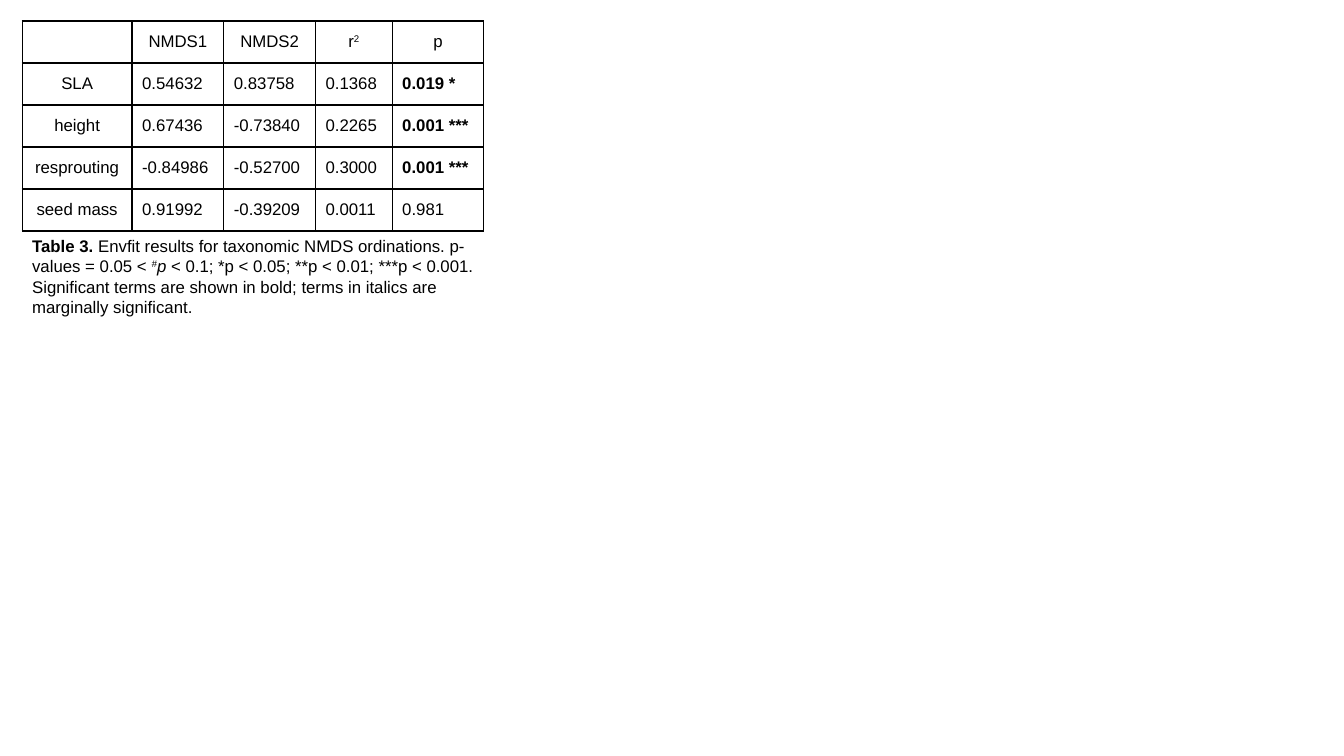
from lxml import etree
from pptx import Presentation
from pptx import util as u
from pptx.dml import color
from pptx.enum import text
from pptx.oxml import ns

COLORS = {"ink": "000000"}
FONT = "Arial"
SLIDE_WIDTH, SLIDE_HEIGHT = u.Inches(13.33), u.Inches(7.5)
COLUMN = SLIDE_WIDTH / 1333
ROW = SLIDE_HEIGHT / 18
LEFT, TOP = 22, 0.5
COLUMN_SPANS = [109, 91, 91, 76, 91]

HEADER = ["", "NMDS1", "NMDS2", "r^2", "p"]
RESULTS = [
    ["SLA", "0.54632", "0.83758", "0.1368", "0.019 *"],
    ["height", "0.67436", "-0.73840", "0.2265", "0.001 ***"],
    ["resprouting", "-0.84986", "-0.52700", "0.3000", "0.001 ***"],
    ["seed mass", "0.91992", "-0.39209", "0.0011", "0.981"],
]
CAPTION = [
    ("Table 3. ", {"bold": True}),
    ("Envfit results for taxonomic NMDS ordinations. p-values = 0.05 < ", {}),
    ("#", {"italic": True, "raised": True}),
    ("p", {"italic": True}),
    (" < 0.1; *p < 0.05; **p < 0.01; ***p < 0.001. Signiﬁcant terms are shown in bold; "
     "terms in italics are marginally signiﬁcant.", {}),
]


def columns(count):
    """Return the length of a number of grid columns."""
    return u.Emu(round(count * COLUMN))


def rows(count):
    """Return the length of a number of grid rows."""
    return u.Emu(round(count * ROW))


def add_run(paragraph, wording, bold=False, italic=False, raised=False):
    """Add one styled run to a paragraph."""
    run = paragraph.add_run()
    run.text = wording
    run.font.name, run.font.size = FONT, u.Pt(12)
    run.font.bold, run.font.italic = bold, italic
    run.font.color.rgb = color.RGBColor.from_string(COLORS["ink"])
    if raised:
        run.font._element.set("baseline", "30000")


def add_borders(cell):
    """Draw a one-point line on every side of a cell."""
    properties = cell._tc.get_or_add_tcPr()
    for position, side in enumerate(("lnL", "lnR", "lnT", "lnB")):
        line = etree.Element(ns.qn(f"a:{side}"), w=str(u.Pt(1)))
        fill = etree.SubElement(line, ns.qn("a:solidFill"))
        etree.SubElement(fill, ns.qn("a:srgbClr"), val=COLORS["ink"])
        properties.insert(position, line)


def fill_cell(cell, wording, centred, bold):
    """Style a cell and write its wording, raising what follows a caret."""
    cell.fill.background()
    add_borders(cell)
    if not wording:
        return
    cell.vertical_anchor = text.MSO_ANCHOR.MIDDLE
    cell.margin_left = cell.margin_right = u.Inches(0.1)
    cell.margin_top = cell.margin_bottom = u.Inches(0.1)
    paragraph = cell.text_frame.paragraphs[0]
    paragraph.alignment = text.PP_ALIGN.CENTER if centred else text.PP_ALIGN.LEFT
    for index, part in enumerate(wording.split("^")):
        add_run(paragraph, part, bold=bold, raised=index > 0)


def add_results_table(slide):
    """Add the table of ordination results."""
    records = [HEADER] + RESULTS
    table = slide.shapes.add_table(
        len(records), len(HEADER), columns(LEFT), rows(TOP),
        columns(sum(COLUMN_SPANS)), rows(len(records))).table
    table.first_row = table.horz_banding = False
    for column, span in zip(table.columns, COLUMN_SPANS):
        column.width = columns(span)
    for row_index, record in enumerate(records):
        table.rows[row_index].height = rows(1)
        for column_index, wording in enumerate(record):
            fill_cell(table.cell(row_index, column_index), wording,
                      centred=row_index == 0 or column_index == 0,
                      bold="*" in wording)


def add_caption(slide):
    """Add the caption directly below the table."""
    box = slide.shapes.add_textbox(
        columns(LEFT), rows(TOP + len(RESULTS) + 1),
        columns(sum(COLUMN_SPANS)), rows(2.18))
    frame = box.text_frame
    frame.word_wrap = True
    frame.auto_size = text.MSO_AUTO_SIZE.SHAPE_TO_FIT_TEXT
    for wording, style in CAPTION:
        add_run(frame.paragraphs[0], wording, **style)


def main():
    """Build and save the slide."""
    presentation = Presentation()
    presentation.slide_width, presentation.slide_height = SLIDE_WIDTH, SLIDE_HEIGHT
    slide = presentation.slides.add_slide(presentation.slide_layouts[6])
    add_results_table(slide)
    add_caption(slide)
    presentation.save("out.pptx")


if __name__ == "__main__":
    main()
